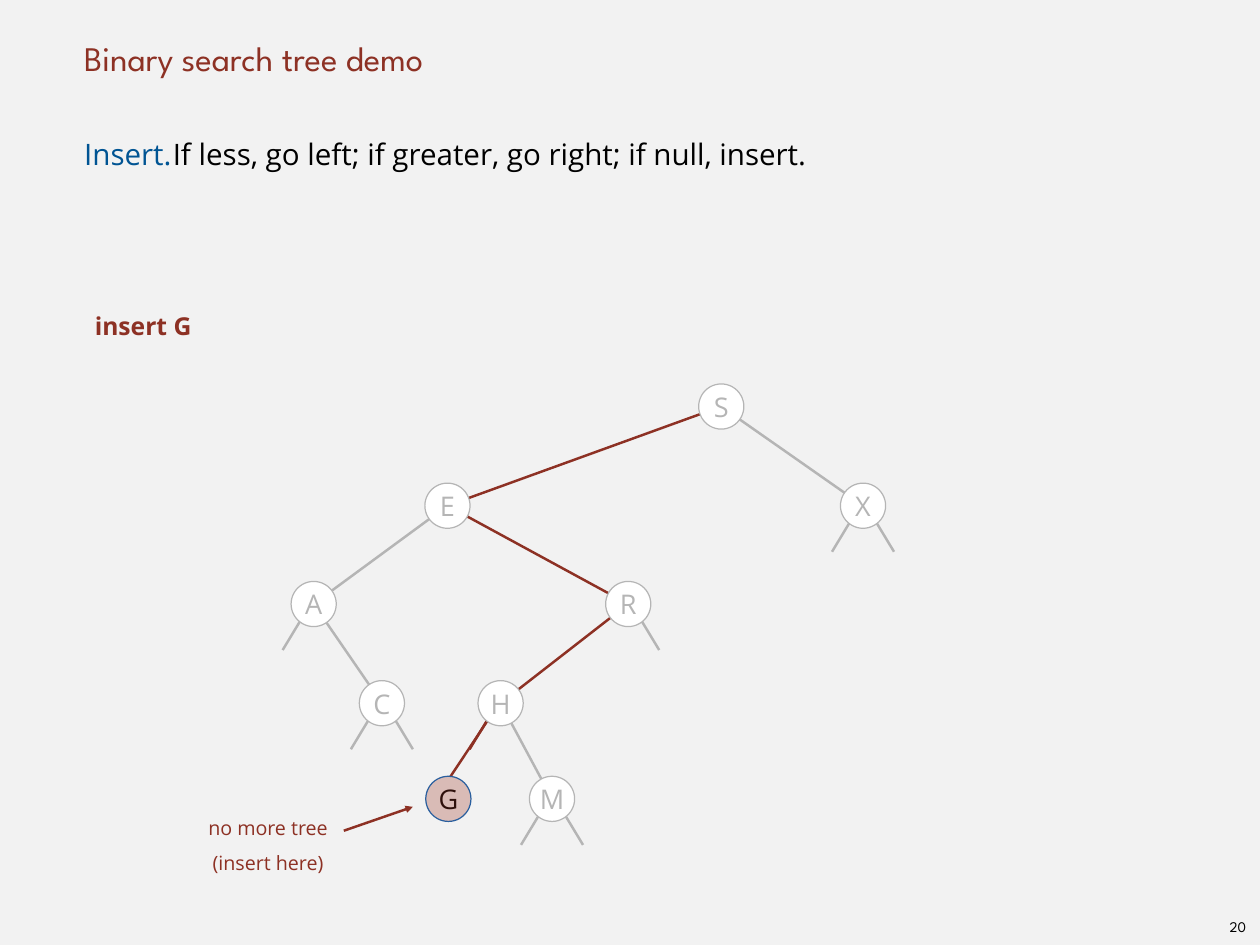
from typing import NamedTuple

from lxml.etree import SubElement
from pptx import Presentation
from pptx.dml.color import RGBColor
from pptx.enum.shapes import MSO_CONNECTOR as Link, MSO_SHAPE as Form
from pptx.enum.text import MSO_ANCHOR as Anchor, MSO_AUTO_SIZE as Fit, PP_ALIGN as Align
from pptx.oxml.ns import qn
from pptx.util import Inches, Pt

RED, GRAY, BLUE, RIM = "8D3124", "B5B5B5", "005493", "2A5F9E"
BLACK, WHITE, PAPER = "000000", "FFFFFF", "F2F2F2"
SANS, HEAD = "Open Sans", "League Spartan"
SIZE = 0.51


class Node(NamedTuple):
    key: str
    x: float
    y: float
    stubs: tuple = ()  # (side, colour) of each short link


class Edge(NamedTuple):
    top: str
    low: str
    color: str = GRAY


NODES = [
    Node("S", 8.14, 4.59),
    Node("E", 5.05, 5.71),
    Node("X", 9.74, 5.71, ((-1, GRAY), (1, GRAY))),
    Node("A", 3.54, 6.82, ((-1, GRAY),)),
    Node("R", 7.09, 6.82, ((1, GRAY),)),
    Node("C", 4.31, 7.94, ((-1, GRAY), (1, GRAY))),
    Node("H", 5.65, 7.94, ((-1, RED),)),
    Node("M", 6.23, 9.02, ((-1, GRAY), (1, GRAY))),
]
EDGES = [
    Edge("S", "X"), Edge("S", "E", RED), Edge("E", "R", RED), Edge("E", "A"),
    Edge("R", "H", RED), Edge("A", "C"), Edge("H", "M"),
]


def rgb(code: str) -> RGBColor:
    return RGBColor.from_string(code)


def style(para, size: float, color: str, face: str = SANS, bold: bool = False) -> None:
    font = para.font
    font.name, font.size, font.bold = face, Pt(size), bold
    font.color.rgb = rgb(color)


def frame(shape, anchor=Anchor.TOP, wrap: bool = False, left: float = 0):
    text = shape.text_frame
    text.auto_size, text.word_wrap, text.vertical_anchor = Fit.NONE, wrap, anchor
    text.margin_left = Inches(left)
    text.margin_right = text.margin_top = text.margin_bottom = 0
    return text


def place(shape, x: float, y: float, w: float, h: float) -> None:
    shape.left, shape.top = Inches(x), Inches(y)
    shape.width, shape.height = Inches(w), Inches(h)


def label(slide, box: tuple, lines: list, size: float, color: str, face: str = SANS,
          bold: bool = False, align=Align.CENTER, space: float = 1, anchor=Anchor.TOP) -> None:
    text = frame(slide.shapes.add_textbox(*map(Inches, box)), anchor)
    text.text = "\n".join(lines)
    for para in text.paragraphs:
        para.alignment, para.line_spacing = align, space
        style(para, size, color, face, bold)


def link(slide, x1: float, y1: float, x2: float, y2: float, color: str, arrow: bool = False) -> None:
    line = slide.shapes.add_connector(Link.STRAIGHT, *map(Inches, (x1, y1, x2, y2)))
    line.line.color.rgb, line.line.width = rgb(color), Pt(2)
    if arrow:
        tail = SubElement(line.line._get_or_add_ln(), qn("a:tailEnd"))
        tail.set("type", "triangle")
    SubElement(line._element.spPr, qn("a:effectLst"))


def disc(slide, x: float, y: float, fill: str, rim: str = "", key: str = "", color: str = GRAY):
    oval = slide.shapes.add_shape(
        Form.OVAL, Inches(x - SIZE / 2), Inches(y - SIZE / 2), Inches(SIZE), Inches(SIZE))
    oval.shadow.inherit = False
    oval.fill.solid()
    oval.fill.fore_color.rgb = rgb(fill)
    if rim:
        oval.line.color.rgb, oval.line.width = rgb(rim), Pt(1)
    else:
        oval.line.fill.background()
    if key:
        text = frame(oval, Anchor.MIDDLE)
        text.text = key
        text.paragraphs[0].alignment = Align.CENTER
        style(text.paragraphs[0], 22, color)
    return oval


def heads(slide) -> None:
    title, body = slide.placeholders
    place(title, 0.89, 0, 12.44, 0.89)
    text = frame(title, Anchor.BOTTOM, True, 0.06)
    text.text = "Binary search tree demo"
    text.paragraphs[0].alignment = Align.LEFT
    style(text.paragraphs[0], 28, RED, HEAD)

    place(body, 0.89, 1.39, 12.44, 8.89)
    para = frame(body, wrap=True, left=0.06).paragraphs[0]
    props = para._p.get_or_add_pPr()
    props.set("marL", "0")
    props.set("indent", "0")
    SubElement(props, qn("a:buNone"))
    tabs = SubElement(props, qn("a:tabLst"))
    SubElement(tabs, qn("a:tab"), pos=str(Inches(1.16)), algn="l")
    para.line_spacing, para.space_before = Pt(39), Pt(0)
    style(para, 24, BLACK)
    lead, rest = para.add_run(), para.add_run()
    lead.text = "Insert.\t"
    lead.font.color.rgb = rgb(BLUE)
    rest.text = "If less, go left; if greater, go right; if null, insert."


def tree(slide) -> None:
    # Links lie under the nodes
    spots = {node.key: node for node in NODES}
    for edge in EDGES:
        top, low = spots[edge.top], spots[edge.low]
        link(slide, top.x, top.y, low.x, low.y, edge.color)
    for node in NODES:
        for side, color in node.stubs:
            link(slide, node.x, node.y - 0.06, node.x + side * 0.35, node.y + 0.52, color)
    link(slide, 5.64, 7.93, 4.99, 8.91, RED)

    for node in NODES:
        disc(slide, node.x, node.y, WHITE, GRAY, node.key)

    # New node with a clear red tint
    disc(slide, 5.06, 9.02, WHITE, key="G", color=BLACK)
    tint = disc(slide, 5.06, 9.02, RED, RIM)
    shade = tint._element.spPr.find(qn("a:solidFill"))[0]
    SubElement(shade, qn("a:alpha"), val="33000")


def main() -> None:
    deck = Presentation()
    deck.slide_width, deck.slide_height = Inches(14.22), Inches(10.67)
    slide = deck.slides.add_slide(deck.slide_layouts[1])
    slide.background.fill.solid()
    slide.background.fill.fore_color.rgb = rgb(PAPER)

    heads(slide)
    tree(slide)

    # Notes beside the tree and page number
    label(slide, (1.07, 3.51, 1.26, 0.43), ["insert G"], 20, RED, bold=True, align=Align.LEFT)
    label(slide, (2.2, 9.08, 1.65, 0.74), ["no more tree", "(insert here)"], 16, RED, space=1.5)
    link(slide, 3.88, 9.38, 4.66, 9.11, RED, arrow=True)
    label(slide, (13.8, 10.25, 0.34, 0.42), ["20"], 12, BLACK, HEAD, anchor=Anchor.MIDDLE)

    deck.save("out.pptx")


if __name__ == "__main__":
    main()
